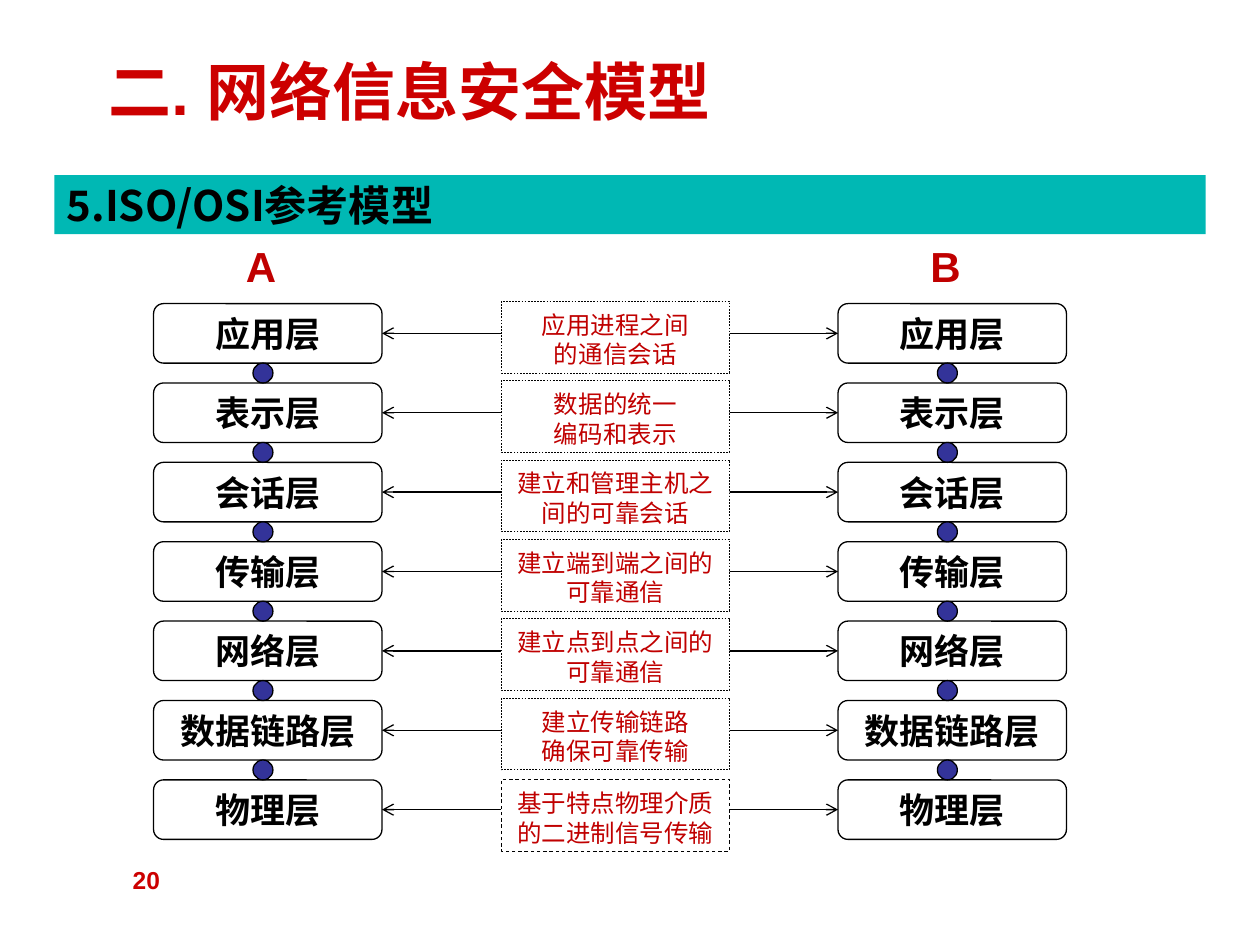
from lxml.etree import SubElement
from pptx import Presentation
from pptx.dml.color import RGBColor
from pptx.enum.dml import MSO_LINE
from pptx.enum.shapes import MSO_CONNECTOR, MSO_SHAPE
from pptx.enum.text import MSO_ANCHOR, MSO_AUTO_SIZE, PP_ALIGN
from pptx.oxml.ns import qn
from pptx.util import Pt

CJK = "Noto Sans CJK SC"
RED, BLACK = "C00000", "000000"


def write(sp, text, color, align=PP_ALIGN.LEFT, anchor=MSO_ANCHOR.MIDDLE, **font):
    """Put one formatted paragraph into a shape, with CJK as East Asian font."""
    tf = sp.text_frame
    tf.word_wrap, tf.auto_size, tf.vertical_anchor = True, MSO_AUTO_SIZE.NONE, anchor
    p = tf.paragraphs[0]
    p.text, p.alignment = text, align
    for r in p.runs:
        r.font.color.rgb = RGBColor.from_string(color)
        for name, value in font.items():
            setattr(r.font, name, value)
        SubElement(r.font._element, qn("a:ea"), typeface=CJK)
    return p


def shape(kind, x, y, w, h, fill=None, line=None):
    sp = s.shapes.add_shape(kind, Pt(x), Pt(y), Pt(w), Pt(h))
    sp.shadow.inherit = False
    for part, color in ((sp.fill, fill), (sp.line.fill, line)):
        if color:
            part.solid()
            part.fore_color.rgb = RGBColor.from_string(color)
        else:
            part.background()
    if line:
        sp.line.width = Pt(0.75)
    return sp


prs = Presentation()
prs.slide_width, prs.slide_height = Pt(720), Pt(540)
s = prs.slides.add_slide(prs.slide_layouts[5])

title = s.shapes.title
title.left, title.top, title.width, title.height = Pt(54.7), Pt(15.1), Pt(390.3), Pt(73.4)
write(title, "二. 网络信息安全模型", "CC0000", size=Pt(36), name="Arial", bold=True)

banner = shape(MSO_SHAPE.RECTANGLE, 31, 100.1, 658, 33.8, fill="00B8B4")
write(banner, "5.ISO/OSI参考模型", BLACK, size=Pt(24), name=CJK, bold=True)

number = s.shapes.add_textbox(Pt(19.4), Pt(491), Pt(79.2), Pt(37.4))
write(number, "20", "CC0000", PP_ALIGN.RIGHT, MSO_ANCHOR.TOP,
      size=Pt(14), name="Arial", bold=True)

layers = [
    ("应用层", "应用进程之间\n的通信会话"),
    ("表示层", "数据的统一\n编码和表示"),
    ("会话层", "建立和管理主机之间的可靠会话"),
    ("传输层", "建立端到端之间的可靠通信"),
    ("网络层", "建立点到点之间的可靠通信"),
    ("数据链路层", "建立传输链路\n确保可靠传输"),
    ("物理层", "基于特点物理介质的二进制信号传输"),
]
top, pitch = 173.5, 45.36
box_w, box_h, dot = 130.5, 34, 11.4
hosts = {"A": 87.8, "B": 478.9}
last = len(layers) - 1

for host, x in hosts.items():
    head = s.shapes.add_textbox(Pt(x + 45.6), Pt(133.9), Pt(32), Pt(36))
    write(head, host, RED, anchor=MSO_ANCHOR.TOP, size=Pt(24), name="Arial", bold=True)
    for i, (layer, _) in enumerate(layers):
        y = top + i * pitch
        sp = shape(MSO_SHAPE.ROUNDED_RECTANGLE, x, y, box_w, box_h, line=BLACK)
        write(sp, layer, BLACK, PP_ALIGN.CENTER, size=Pt(20), name="Arial", bold=True)
        if i < last:
            shape(MSO_SHAPE.OVAL, x + 56.8, y + box_h, dot, dot, "333399", BLACK)

for i, (_, task) in enumerate(layers):
    y = top + i * pitch
    mid = y + box_h / 2
    link = s.shapes.add_connector(MSO_CONNECTOR.STRAIGHT, Pt(hosts["A"] + box_w), Pt(mid),
                                  Pt(hosts["B"]), Pt(mid))
    link.line.width = Pt(0.75)
    link.line.color.rgb = RGBColor.from_string(BLACK)
    ln = link.line._get_or_add_ln()
    for end in ("a:headEnd", "a:tailEnd"):
        SubElement(ln, qn(end), type="arrow")
    SubElement(link._element.spPr, qn("a:effectLst"))

    label_y = y - 1.4 if i < last else y - 0.2
    sp = shape(MSO_SHAPE.RECTANGLE, 286.4, label_y, box_w, 41, "FFFFFF", BLACK)
    sp.line.width = Pt(0.25 if i < last else 0.5)
    sp.line.dash_style = MSO_LINE.DASH
    p = write(sp, task, RED, PP_ALIGN.CENTER, MSO_ANCHOR.TOP, size=Pt(14), name=CJK)
    p.line_spacing = Pt(16.8)
    sp.text_frame.margin_top = Pt(4.9)

prs.save("out.pptx")
